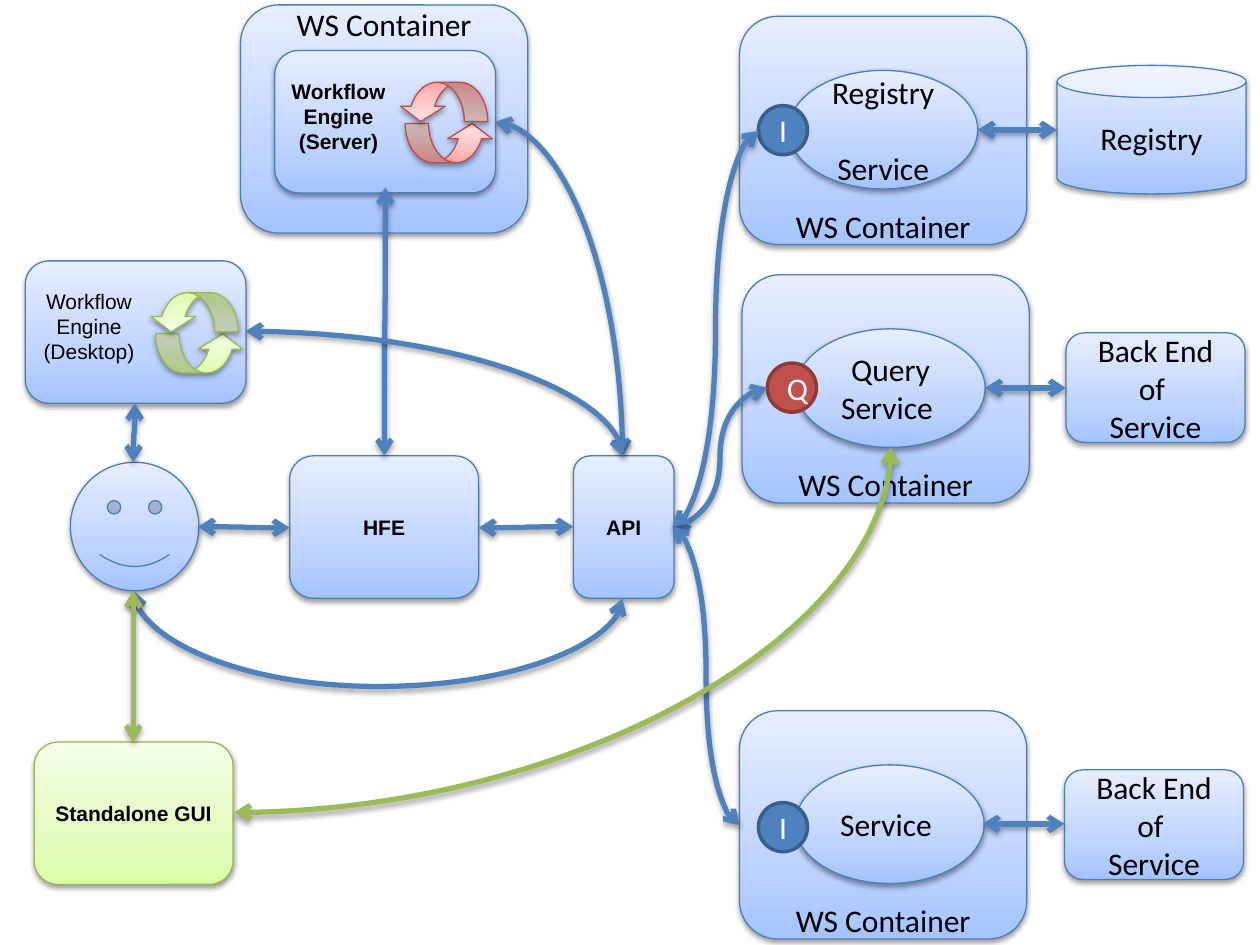
from lxml.etree import SubElement
from pptx import Presentation
from pptx.dml.color import RGBColor
from pptx.enum.shapes import MSO_CONNECTOR, MSO_SHAPE
from pptx.enum.text import MSO_ANCHOR, MSO_AUTO_SIZE, PP_ALIGN
from pptx.oxml.ns import qn
from pptx.util import Cm, Pt

# Gradient stops from bottom to top, then the outline
BLUE = {"stops": ("A4C4FF", "BFD4FF", "E6EEFF"), "line": "4B7EBC"}
RED = {"stops": ("FFA6A5", "FFC0BF", "FFE7E7"), "line": "BF4C48"}
GREEN = {"stops": ("DAFDA7", "E4FCC2", "F5FFE7"), "line": "98B955"}
BADGE_COLORS = {"I": ("4F81BD", "3A5F8C"), "Q": ("C0504D", "8E3B39")}
BLUE_LINK, GREEN_LINK = "4F81BD", "9BBB59"

LABEL = {"name": "Calibri", "size": Pt(18)}
SMALL = {"name": "Arial", "size": Pt(12)}
BOLD = {**SMALL, "bold": True}

CONTAINER_SIZE = (5.79, 4.6)
SERVICE_SIZE = (3.81, 2.39)
BACK_END_SIZE = (3.61, 2.21)
BOX_HEIGHT = 2.87

# Container, ellipse and badge corners, badge letter, service name, line gap
SERVICES = [
    ((14.91, 0.33), (15.9, 1.42), (15.29, 2.13), "I", ("Registry", "Service"), 21.6),
    ((14.96, 5.54), (16.05, 6.63), (15.47, 7.32), "Q", ("Query", "Service "), 0),
    ((14.91, 14.33), (16.03, 15.42), (15.29, 16.18), "I", ("Service ",), 0),
]

API_RIGHT, API_TOP, SMILEY_BOTTOM = (13.56, 10.62), (12.55, 9.19), (2.69, 11.91)

# Links that leave sideways: start, end, connector type
SIDEWAYS_LINKS = [
    ((3.99, 10.62), (5.84, 10.64), 3),
    ((9.65, 10.64), (11.56, 10.62), 3),
    ((9.98, 2.46), API_TOP, 2),
    (API_RIGHT, (15.47, 7.82), 3),
    (API_RIGHT, (15.29, 2.64), 3),
    (API_RIGHT, (14.91, 16.64), 3),
    ((19.86, 7.82), (21.49, 7.82), 3),
    ((19.71, 2.62), (21.31, 2.62), 3),
    ((19.81, 16.61), (21.46, 16.61), 3),
]

# Links that leave up or down: start, end, connector type, colour, depth of bend
UPRIGHT_LINKS = [
    ((7.75, 9.19), (7.77, 3.78), 3, BLUE_LINK, None),
    ((17.96, 9.02), (4.72, 16.38), 2, GREEN_LINK, None),
    (SMILEY_BOTTOM, (12.55, 12.07), 3, BLUE_LINK, 1.93),
    (SMILEY_BOTTOM, (2.69, 14.96), 3, GREEN_LINK, None),
    ((2.69, 9.32), (2.72, 8.13), 3, BLUE_LINK, None),
    (API_TOP, (4.95, 6.68), 2, BLUE_LINK, None),
]


def color(value):
    return RGBColor.from_string(value)


def add_shadow(shape, distance, opacity):
    effects = SubElement(shape._element.spPr, qn("a:effectLst"))
    shadow = SubElement(effects, qn("a:outerShdw"), blurRad="40000",
                        dist=str(distance), dir="5400000", rotWithShape="0")
    black = SubElement(shadow, qn("a:srgbClr"), val="000000")
    SubElement(black, qn("a:alpha"), val=str(opacity * 1000))


def fill_gradient(shape, stops):
    shape.fill.gradient()
    shape.fill.gradient_angle = 90
    stop_list = shape._element.spPr.find(qn("a:gradFill")).find(qn("a:gsLst"))
    for stop in list(stop_list):
        stop_list.remove(stop)
    for position, value in zip((0, 35000, 100000), stops):
        stop = SubElement(stop_list, qn("a:gs"), pos=str(position))
        SubElement(stop, qn("a:srgbClr"), val=value)


def write_text(shape, lines, text_format, text_color="000000", gap=0):
    frame = shape.text_frame
    for index, line in enumerate(lines):
        paragraph = frame.add_paragraph() if index else frame.paragraphs[0]
        paragraph.alignment = PP_ALIGN.CENTER
        if index and gap:
            paragraph.space_before = Pt(gap)
        run = paragraph.add_run()
        run.text = line
        run.font.color.rgb = color(text_color)
        for name, value in text_format.items():
            setattr(run.font, name, value)


def add_block(slide, kind, corner, size, palette=BLUE, lines=(), text_format=LABEL, gap=0):
    shape = slide.shapes.add_shape(kind, *map(Cm, corner + size))
    fill_gradient(shape, palette["stops"])
    shape.line.color.rgb = color(palette["line"])
    shape.line.width = Pt(0.75)
    add_shadow(shape, 20000, 38)
    shape.text_frame.vertical_anchor = MSO_ANCHOR.MIDDLE
    write_text(shape, lines, text_format, gap=gap)
    return shape


def add_container(slide, corner, label_side):
    container = add_block(slide, MSO_SHAPE.ROUNDED_RECTANGLE, corner, CONTAINER_SIZE,
                          lines=["WS Container"])
    frame = container.text_frame
    # A deep inset on the far side keeps the label near its edge
    frame.margin_top, frame.margin_bottom = (
        (0, Cm(3.84)) if label_side == "top" else (Cm(3.84), 0))


def add_badge(slide, corner, letter):
    fill, outline = BADGE_COLORS[letter]
    badge = slide.shapes.add_shape(MSO_SHAPE.OVAL, *map(Cm, corner + (0.99, 0.99)))
    badge.shadow.inherit = False
    badge.fill.solid()
    badge.fill.fore_color.rgb = color(fill)
    badge.line.color.rgb = color(outline)
    badge.line.width = Pt(2)
    write_text(badge, [letter], LABEL, "FFFFFF")


def add_engine(slide, corner, place, palette, text_format):
    left, top = corner
    add_block(slide, MSO_SHAPE.ROUNDED_RECTANGLE, corner, (4.45, BOX_HEIGHT))
    # Two curved arrows form the cycle
    for right, down, rotation in ((2.63, 1.47, 0), (2.49, 0.64, 180)):
        arrow = add_block(slide, MSO_SHAPE.CURVED_UP_ARROW,
                          (left + right, top + down), (1.8, 0.79), palette)
        arrow.rotation = rotation
        for index, value in enumerate((0.594, 1.152, 0.393)):
            arrow.adjustments[index] = value
    caption = slide.shapes.add_textbox(Cm(left + 0.03), Cm(top + 0.43), Cm(2.51), Cm(1.8))
    caption.text_frame.word_wrap = False
    caption.text_frame.auto_size = MSO_AUTO_SIZE.SHAPE_TO_FIT_TEXT
    write_text(caption, ["Workflow", "Engine", f"({place})"], text_format)


def add_link(slide, start, end, bend, line_color=BLUE_LINK):
    connector = slide.shapes.add_connector(MSO_CONNECTOR.CURVE, *map(Cm, start + end))
    properties = connector._element.spPr
    properties.find(qn("a:prstGeom")).set("prst", f"curvedConnector{bend}")
    connector.line.color.rgb = color(line_color)
    connector.line.width = Pt(3)
    line = properties.find(qn("a:ln"))
    for tag in ("a:headEnd", "a:tailEnd"):
        SubElement(line, qn(tag), type="arrow")
    add_shadow(connector, 23000, 35)
    return connector


def add_upright_link(slide, start, end, bend, line_color, depth):
    """Turn the connector a quarter so that it leaves its start vertically."""
    connector = add_link(slide, start, end, bend, line_color)
    across, down = end[0] - start[0], end[1] - start[1]
    width, height = abs(down), abs(across)
    connector.left = Cm((start[0] + end[0] - width) / 2)
    connector.top = Cm((start[1] + end[1] - height) / 2)
    connector.width, connector.height = Cm(width), Cm(height)
    turn = 1 if across * down < 0 else -1
    transform = connector._element.spPr.find(qn("a:xfrm"))
    transform.set("rot", str((90 if turn == 1 else 270) * 60000))
    transform.set("flipH", str(int(turn * down < 0)))
    transform.set("flipV", str(int(turn * across > 0)))
    if depth:
        guides = connector._element.spPr.find(qn("a:prstGeom")).find(qn("a:avLst"))
        SubElement(guides, qn("a:gd"), name="adj1", fmla=f"val {round(depth / down * 100000)}")


def main():
    presentation = Presentation()
    presentation.slide_width, presentation.slide_height = Cm(25.4), Cm(19.05)
    slide = presentation.slides.add_slide(presentation.slide_layouts[6])
    box = MSO_SHAPE.ROUNDED_RECTANGLE

    # Workflow engines
    add_container(slide, (4.85, 0.1), "top")
    add_engine(slide, (5.54, 1.02), "Server", RED, BOLD)
    add_engine(slide, (0.51, 5.26), "Desktop", GREEN, SMALL)

    # User and front ends
    add_block(slide, MSO_SHAPE.SMILEY_FACE, (1.42, 9.32), (2.59, 2.59))
    for name, corner, width, palette in (("HFE", (5.84, 9.19), 3.81, BLUE),
                                         ("API", (11.56, 9.19), 2.03, BLUE),
                                         ("Standalone GUI", (0.69, 14.96), 4.01, GREEN)):
        add_block(slide, box, corner, (width, BOX_HEIGHT), palette, [name], BOLD)

    # Services in their containers
    for container, ellipse, badge, letter, name, gap in SERVICES:
        add_container(slide, container, "bottom")
        add_block(slide, MSO_SHAPE.OVAL, ellipse, SERVICE_SIZE, lines=name, gap=gap)
        add_badge(slide, badge, letter)

    # Registry store and back ends
    add_block(slide, MSO_SHAPE.CAN, (21.31, 1.32), (3.81, 2.59), lines=["Registry"])
    for corner in ((21.49, 6.71), (21.46, 15.52)):
        add_block(slide, box, corner, BACK_END_SIZE, lines=["Back End of ", "Service"])

    # Links
    for link in SIDEWAYS_LINKS:
        add_link(slide, *link)
    for link in UPRIGHT_LINKS:
        add_upright_link(slide, *link)

    presentation.save("out.pptx")


if __name__ == "__main__":
    main()
